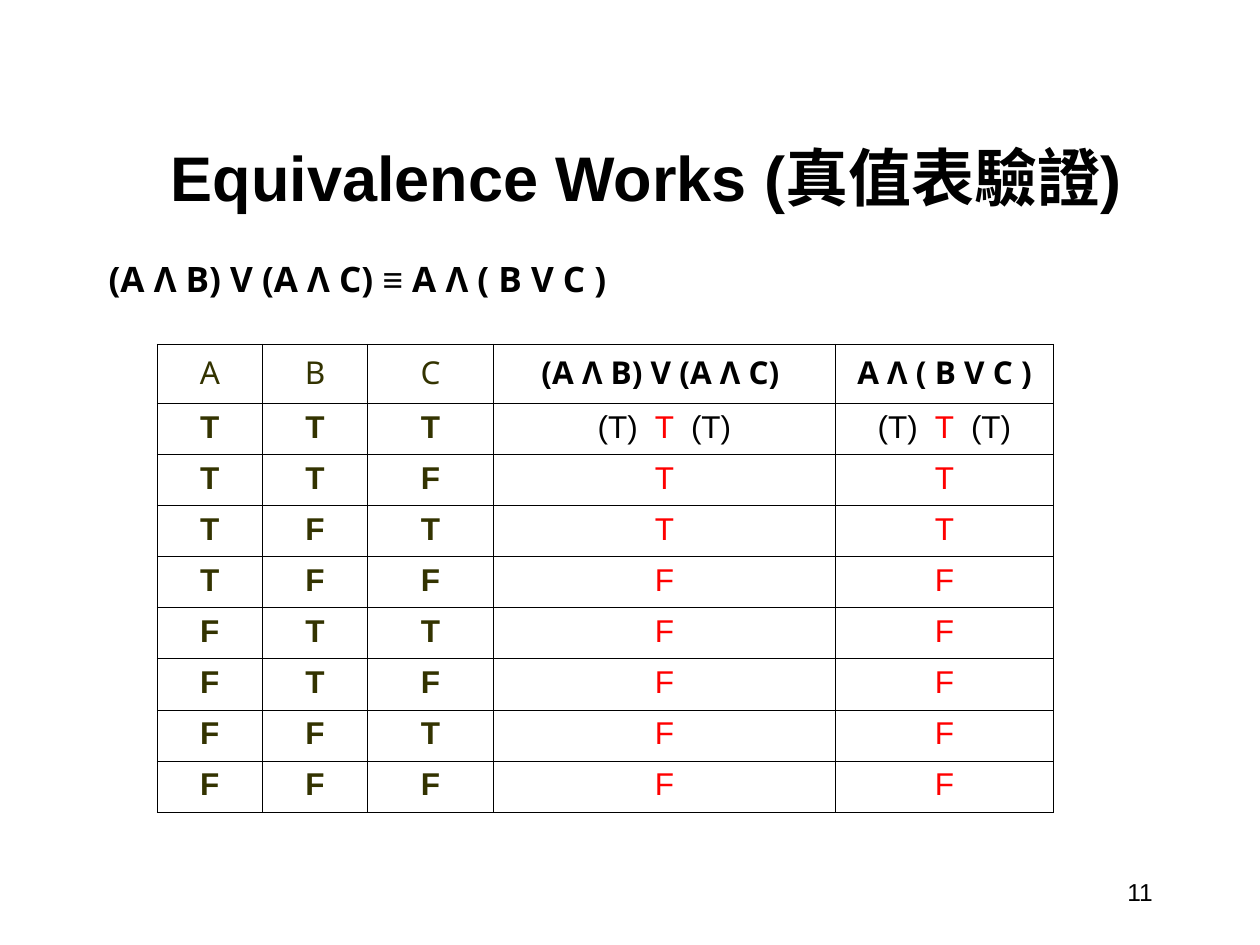
from dataclasses import dataclass
from itertools import product

from lxml import etree
from pptx import Presentation
from pptx.dml.color import RGBColor
from pptx.enum.text import MSO_ANCHOR, MSO_AUTO_SIZE, PP_ALIGN
from pptx.oxml.ns import qn
from pptx.util import Cm, Pt

LEFT, CENTER, RIGHT = PP_ALIGN.LEFT, PP_ALIGN.CENTER, PP_ALIGN.RIGHT
TOP, MIDDLE, BOTTOM = MSO_ANCHOR.TOP, MSO_ANCHOR.MIDDLE, MSO_ANCHOR.BOTTOM
NO_FIT = MSO_AUTO_SIZE.NONE
TITLE_ONLY = 5


@dataclass(frozen=True)
class Theme:
    ink: str = "000000"
    olive: str = "333300"
    red: str = "FF0000"
    latin: str = "Arial"
    logic: str = "Noto Sans"
    title: int = 36
    formula: int = 20
    cell: int = 18
    number: int = 14
    border: float = 0.45


THEME = Theme()
OR_OF_ANDS = "(A Λ B) V (A Λ C) "
AND_OF_OR = "A Λ ( B V C )"


def add_run(p, text, size, font=THEME.latin, color=THEME.ink, bold=False):
    r = p.add_run()
    r.text = text
    r.font.size = Pt(size)
    r.font.name = font
    r.font.bold = bold
    r.font.color.rgb = RGBColor.from_string(color)


def format_frame(sp, anchor, align, wrap=True):
    tf = sp.text_frame
    tf.auto_size = NO_FIT
    tf.word_wrap = wrap
    tf.vertical_anchor = anchor
    p = tf.paragraphs[0]
    p.alignment = align
    return p


def add_title(s, text):
    sp = s.shapes.title
    sp.left, sp.top, sp.width, sp.height = Cm(1.7), Cm(2.54), Cm(22.66), Cm(1.9)
    p = format_frame(sp, BOTTOM, CENTER)
    add_run(p, text, THEME.title, bold=True)


def add_formula(s):
    sp = s.shapes.add_textbox(Cm(1.4), Cm(5.16), Cm(12.98), Cm(1.19))
    p = format_frame(sp, TOP, LEFT)
    p.line_spacing = 0.9
    p.space_before = Pt(5)
    p._p.get_or_add_pPr().set("marL", str(Cm(0.54)))
    for text, font in ((OR_OF_ANDS, THEME.logic), ("≡", THEME.latin),
                       (" " + AND_OF_OR, THEME.logic)):
        add_run(p, text, THEME.formula, font, bold=True)


def add_page_number(s, text):
    sp = s.shapes.add_textbox(Cm(21.79), Cm(17.35), Cm(1.7), Cm(1.27))
    p = format_frame(sp, MIDDLE, RIGHT, wrap=False)
    add_run(p, text, THEME.number)


def set_borders(cell):
    tcPr = cell._tc.get_or_add_tcPr()
    for side in ("lnL", "lnR", "lnT", "lnB"):
        ln = etree.SubElement(tcPr, qn("a:" + side), w=str(Pt(THEME.border)))
        fill = etree.SubElement(ln, qn("a:solidFill"))
        etree.SubElement(fill, qn("a:srgbClr"), val=THEME.ink)


def fill_cell(cell, runs):
    set_borders(cell)
    cell.fill.background()
    p = cell.text_frame.paragraphs[0]
    p.alignment = CENTER
    for text, font, color, bold in runs:
        add_run(p, text, THEME.cell, font, color, bold)


def truth_rows():
    header = [[(name, THEME.logic, THEME.olive, False)] for name in "ABC"]
    header += [[(text, THEME.logic, THEME.ink, True)]
               for text in (OR_OF_ANDS, AND_OF_OR)]
    rows = [header]
    for values in product("TF", repeat=3):
        a, b, c = (v == "T" for v in values)
        inputs = [[(v, THEME.latin, THEME.olive, True)] for v in values]
        result = [("T" if a and (b or c) else "F", THEME.latin, THEME.red, False)]
        if a and b and c:
            result = [("(T) ", THEME.latin, THEME.ink, False),
                      (" T ", THEME.latin, THEME.red, False),
                      (" (T)", THEME.latin, THEME.ink, False)]
        rows.append(inputs + [result] * 2)
    return rows


def add_truth_table(s):
    widths = [2.12, 2.12, 2.54, 6.89, 4.4]
    rows = truth_rows()
    heights = [1.19] + [1.03] * (len(rows) - 1)
    table = s.shapes.add_table(len(rows), len(widths), Cm(3.17), Cm(6.94),
                               Cm(sum(widths)), Cm(sum(heights))).table
    table.first_row = table.horz_banding = False
    for column, width in zip(table.columns, widths):
        column.width = Cm(width)
    for i, (row, height) in enumerate(zip(rows, heights)):
        table.rows[i].height = Cm(height)
        for j, runs in enumerate(row):
            fill_cell(table.cell(i, j), runs)


def main():
    prs = Presentation()
    prs.slide_width, prs.slide_height = Cm(25.4), Cm(19.05)
    s = prs.slides.add_slide(prs.slide_layouts[TITLE_ONLY])
    add_page_number(s, "11")
    add_title(s, "Equivalence Works (真值表驗證)")
    add_truth_table(s)
    add_formula(s)
    prs.save("out.pptx")


if __name__ == "__main__":
    main()
